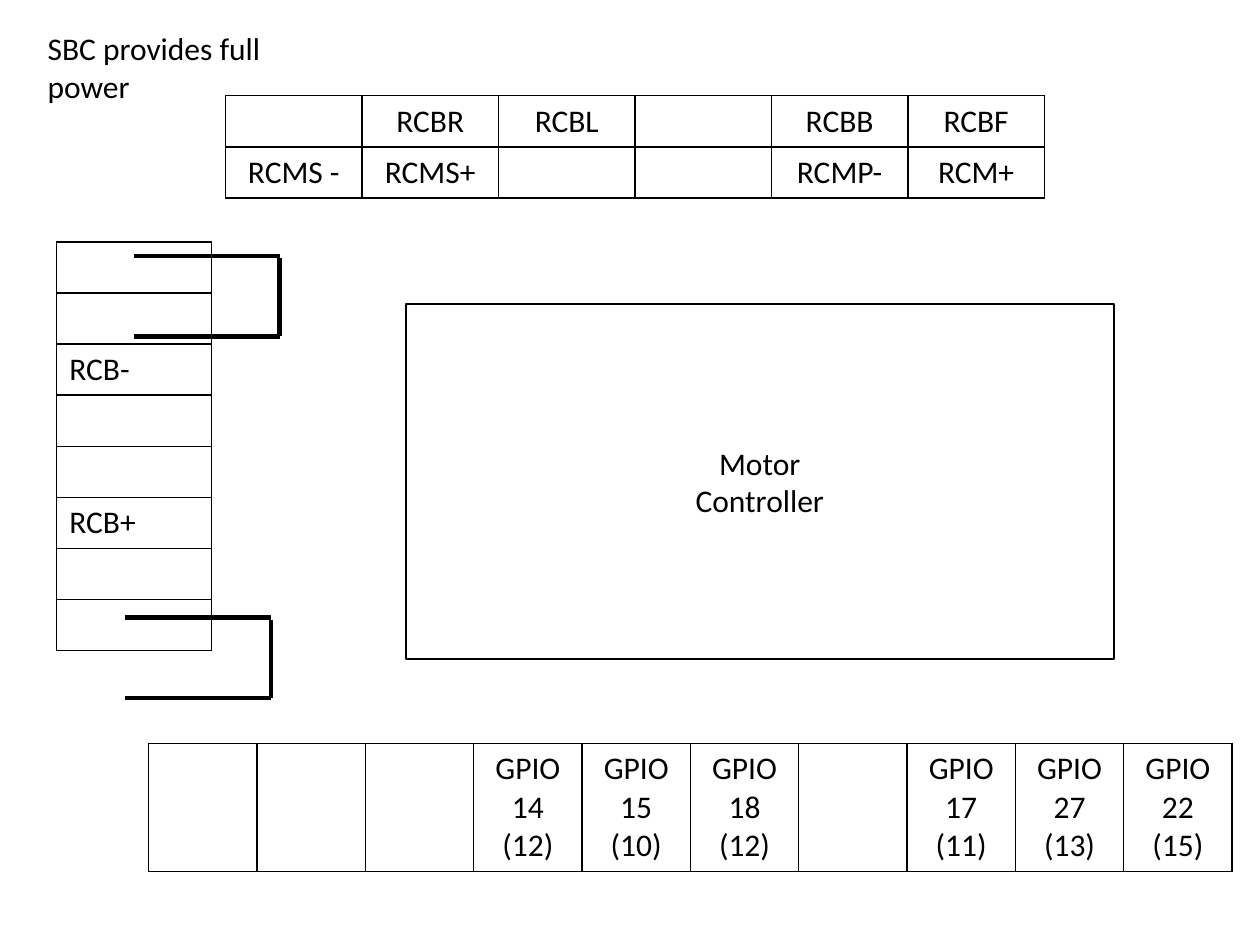
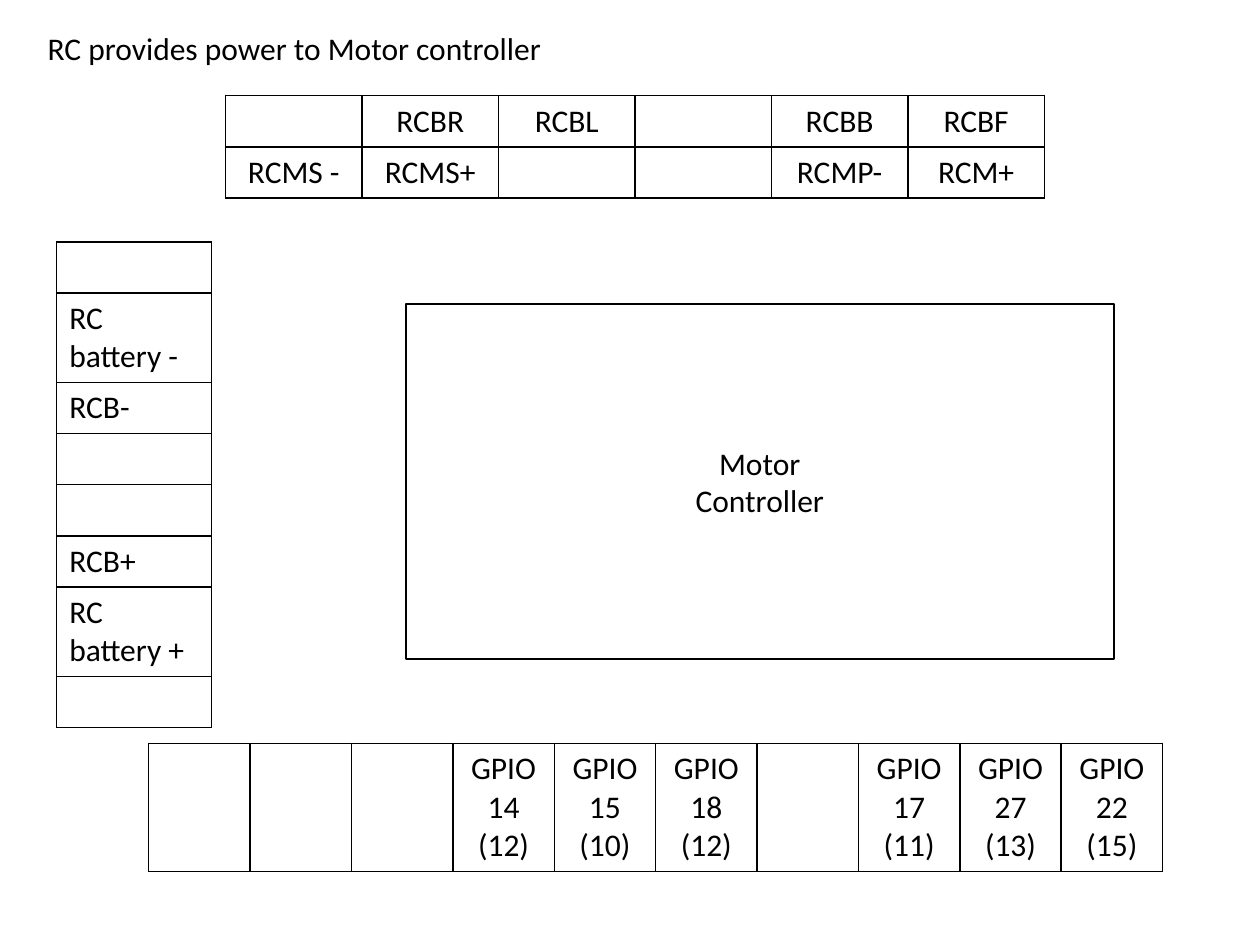
from pptx import Presentation
from pptx.dml.color import RGBColor
from pptx.enum import shapes, text
from pptx.oxml import parse_xml
from pptx.oxml.ns import nsdecls
from pptx.util import Inches, Pt

BLACK = RGBColor(0x00, 0x00, 0x00)
WHITE = RGBColor(0xFF, 0xFF, 0xFF)
FONT, SIZE = "Calibri", Pt(18)
LEFT, MID = text.PP_ALIGN.LEFT, text.PP_ALIGN.CENTER

TOP = [
    ["", "RCBR", "RCBL", "", "RCBB", "RCBF"],
    ["RCMS -", "RCMS+", "", "", "RCMP-", "RCM+"],
]
PINS = [["", "", "", "GPIO\n14\n(12)", "GPIO\n15\n(10)", "GPIO\n18\n(12)", "",
         "GPIO\n17\n(11)", "GPIO\n27 (13)", "GPIO\n22\n(15)"]]
SLIDES = [
    {
        "title": "SBC provides full power",
        "wide": 2.56,
        "side": ["", "", "RCB-", "", "", "RCB+", "", ""],
        "pins": 8.6,
        "jumps": [(1.06, 2.03), (0.99, 4.9)],
    },
    {
        "title": "RC provides power to Motor controller",
        "wide": 4.22,
        "side": ["", "RC\nbattery -", "RCB-", "", "", "RCB+", "RC battery +", ""],
        "pins": 8.05,
        "jumps": [],
    },
]
JUMP_W, JUMP_H, GAP = 1.16, 0.64, 0.02


def write(frame, words, align):
    frame.text = words
    for para in frame.paragraphs:
        para.alignment = align
        for run in para.runs:
            run.font.name, run.font.size = FONT, SIZE
            run.font.color.rgb = BLACK


def edge(cell):
    props = cell._tc.get_or_add_tcPr()
    for side in ("lnL", "lnR", "lnT", "lnB"):
        props.append(parse_xml(
            f'<a:{side} {nsdecls("a")} w="{Pt(1)}"><a:solidFill>'
            f'<a:srgbClr val="{BLACK}"/></a:solidFill></a:{side}>'))


def add_grid(slide, rows, box, align):
    grid = slide.shapes.add_table(len(rows), len(rows[0]), *map(Inches, box)).table
    grid.first_row = grid.horz_banding = False
    for r, row in enumerate(rows):
        for c, words in enumerate(row):
            cell = grid.cell(r, c)
            write(cell.text_frame, words, align)
            edge(cell)
            cell.fill.background()


def add_board(slide):
    board = slide.shapes.add_shape(
        shapes.MSO_SHAPE.RECTANGLE, *map(Inches, (3.22, 2.41, 5.62, 2.82)))
    board.shadow.inherit = False
    board.fill.solid()
    board.fill.fore_color.rgb = WHITE
    board.line.color.rgb = BLACK
    board.line.width = Pt(1)
    board.text_frame.vertical_anchor = text.MSO_ANCHOR.MIDDLE
    write(board.text_frame, "Motor\nController", MID)


def add_jump(slide, x, y):
    right, low = x + JUMP_W, y + JUMP_H
    for ends in ((x, y, right, y), (right, y + GAP, right, low), (right, low, x, low)):
        wire = slide.shapes.add_connector(
            shapes.MSO_CONNECTOR.STRAIGHT, *map(Inches, ends))
        wire.line.color.rgb = BLACK
        wire.line.width = Pt(2.5)
        wire._element.spPr.append(parse_xml(f'<a:effectLst {nsdecls("a")}/>'))


def add_title(slide, words, wide):
    box = slide.shapes.add_textbox(*map(Inches, (0.28, 0.18, wide, 0.4)))
    box.text_frame.word_wrap = False
    box.text_frame.auto_size = text.MSO_AUTO_SIZE.SHAPE_TO_FIT_TEXT
    write(box.text_frame, words, LEFT)


def main():
    deck = Presentation()
    deck.slide_width, deck.slide_height = Inches(10), Inches(7.5)
    for plan in SLIDES:
        slide = deck.slides.add_slide(deck.slide_layouts[6])
        add_grid(slide, [[pin] for pin in plan["side"]], (0.45, 1.92, 1.23, 3.24), LEFT)
        add_board(slide)
        add_grid(slide, TOP, (1.79, 0.76, 6.5, 0.81), MID)
        add_grid(slide, PINS, (1.18, 5.9, plan["pins"], 1), MID)
        for x, y in plan["jumps"]:
            add_jump(slide, x, y)
        add_title(slide, plan["title"], plan["wide"])
    deck.save("out.pptx")


if __name__ == "__main__":
    main()
